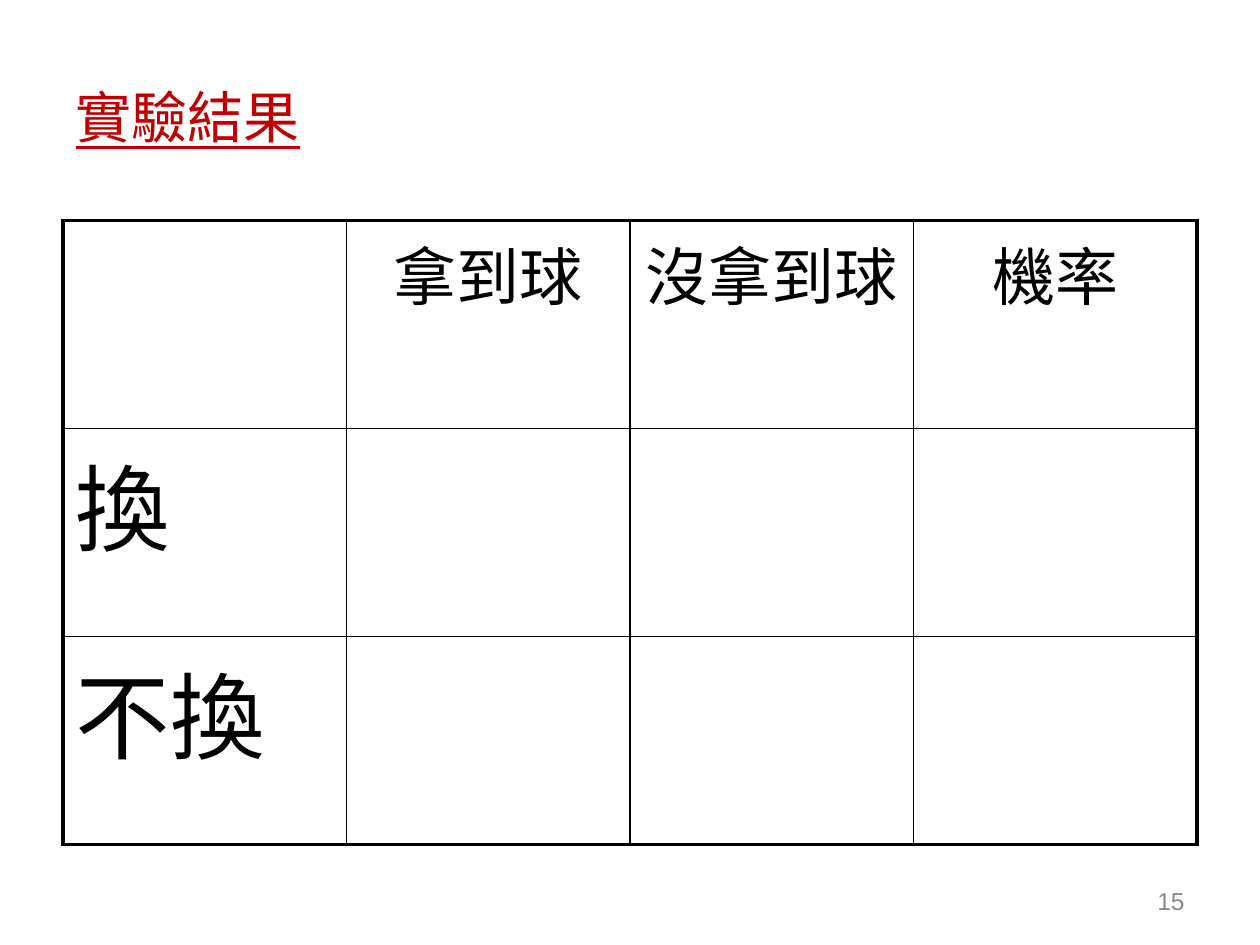
from dataclasses import dataclass

from lxml.etree import SubElement
from pptx import Presentation
from pptx.dml.color import RGBColor
from pptx.enum.text import MSO_ANCHOR, PP_ALIGN
from pptx.oxml.ns import qn
from pptx.util import Cm, Pt

BLACK = RGBColor(0x00, 0x00, 0x00)
RED = RGBColor(0xC0, 0x00, 0x00)
GREY = RGBColor(0x89, 0x89, 0x89)
HAN = "Noto Sans CJK SC"
THICK, THIN = Pt(2.25), Pt(1)
ROWS, COLS = 3, 4


@dataclass
class Label:
    row: int
    col: int
    text: str
    size: int
    align: PP_ALIGN


LABELS = [
    Label(0, 1, "拿到球", 36, PP_ALIGN.CENTER),
    Label(0, 2, "沒拿到球", 36, PP_ALIGN.CENTER),
    Label(0, 3, "機率", 36, PP_ALIGN.CENTER),
    Label(1, 0, "換", 54, PP_ALIGN.LEFT),
    Label(2, 0, "不換", 54, PP_ALIGN.LEFT),
]


def style(para, size: int, color: RGBColor, face: str) -> None:
    """Format every run, with the same face for Latin and East Asian text."""
    for run in para.runs:
        run.font.size = Pt(size)
        run.font.color.rgb = color
        run.font.name = face
        SubElement(run.font._element, qn("a:ea"), typeface=face)


def edge(cell, side: str, width: int) -> None:
    """Draw one border of a table cell."""
    line = SubElement(cell._tc.get_or_add_tcPr(), qn(f"a:{side}"), w=str(width))
    fill = SubElement(line, qn("a:solidFill"))
    SubElement(fill, qn("a:srgbClr"), val=str(BLACK))


def frame(cell, row: int, col: int) -> None:
    """Thick lines round the table, thin lines inside, no fill."""
    outer = {
        "lnL": col == 0,
        "lnR": col == COLS - 1,
        "lnT": row == 0,
        "lnB": row == ROWS - 1,
    }
    for side, rim in outer.items():
        edge(cell, side, THICK if rim else THIN)
    cell.fill.background()


def write(cell, label: Label) -> None:
    """Put a label in its cell, spaced by a fifth of a line above."""
    para = cell.text_frame.paragraphs[0]
    para.text = label.text
    para.alignment = label.align
    style(para, label.size, BLACK, HAN)
    space = SubElement(para._p.get_or_add_pPr(), qn("a:spcBef"))
    SubElement(space, qn("a:spcPct"), val="20000")


def main() -> None:
    deck = Presentation()
    deck.slide_width, deck.slide_height = Cm(25.4), Cm(19.05)
    slide = deck.slides.add_slide(deck.slide_layouts[5])

    # Title
    title = slide.shapes.title
    title.left, title.top = Cm(1.27), Cm(0.76)
    title.width, title.height = Cm(22.86), Cm(3.18)
    title.text_frame.text = "實驗結果"
    title.text_frame.vertical_anchor = MSO_ANCHOR.MIDDLE
    para = title.text_frame.paragraphs[0]
    para.alignment = PP_ALIGN.LEFT
    style(para, 32, RED, HAN)
    para.runs[0].font.underline = True

    # Result table
    table = slide.shapes.add_table(
        ROWS, COLS, Cm(1.27), Cm(4.45), Cm(22.86), Cm(12.57)
    ).table
    table.first_row = table.horz_banding = False
    for row in range(ROWS):
        for col in range(COLS):
            frame(table.cell(row, col), row, col)
    for label in LABELS:
        write(table.cell(label.row, label.col), label)

    # Page number
    box = slide.shapes.add_textbox(Cm(18.2), Cm(17.66), Cm(5.93), Cm(1.01))
    box.text_frame.word_wrap = True
    box.text_frame.vertical_anchor = MSO_ANCHOR.MIDDLE
    box.text_frame.text = "15"
    para = box.text_frame.paragraphs[0]
    para.alignment = PP_ALIGN.RIGHT
    style(para, 14, GREY, "Arial")

    deck.save("out.pptx")


if __name__ == "__main__":
    main()
